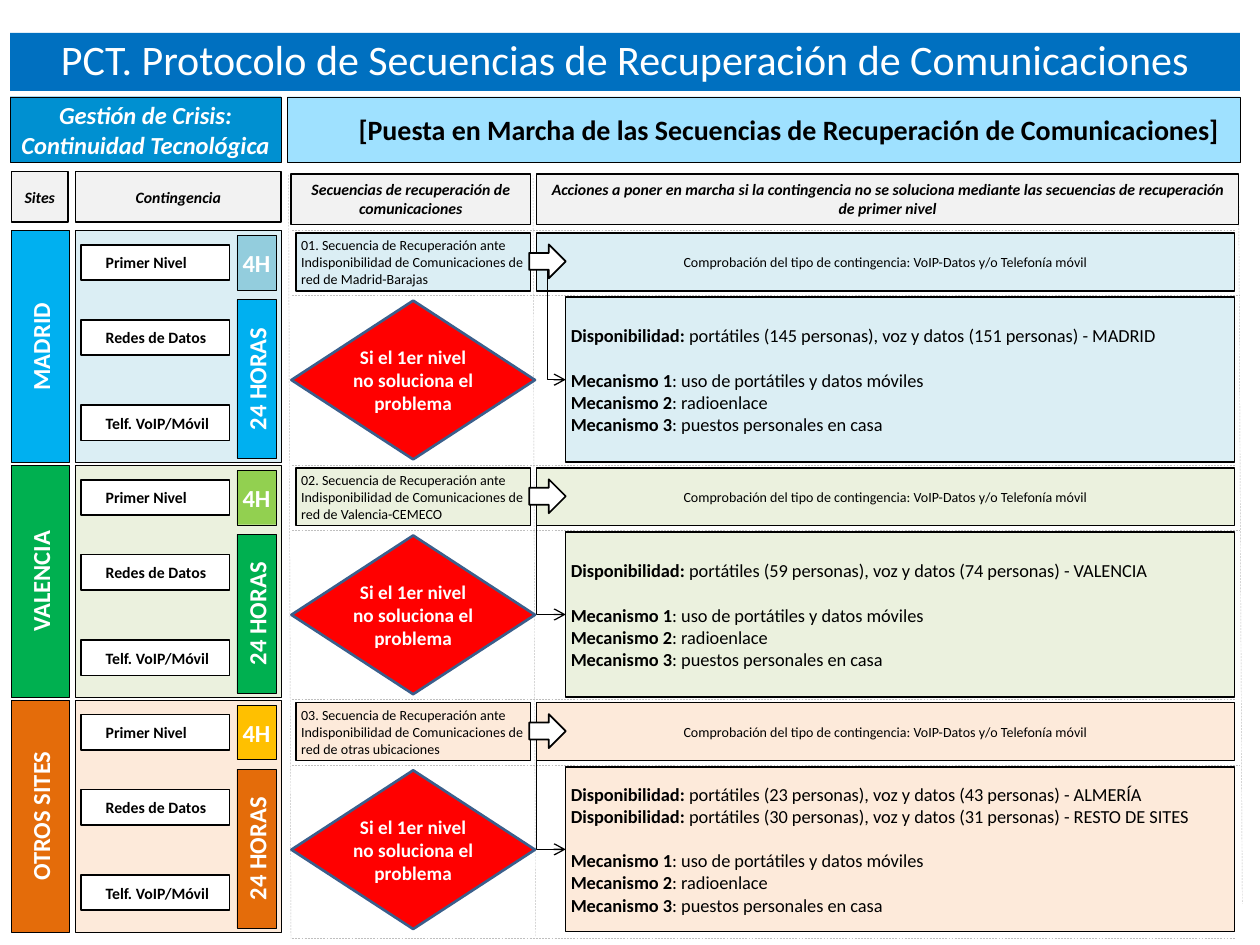
"""Build the communications recovery protocol slide with one band per site."""
from dataclasses import dataclass

from lxml.etree import SubElement
from pptx import Presentation
from pptx.dml.color import RGBColor as RGB
from pptx.enum.dml import MSO_LINE as Dash
from pptx.enum.shapes import MSO_CONNECTOR as Link, MSO_SHAPE as Kind
from pptx.enum.text import MSO_ANCHOR as Anchor, PP_ALIGN as Align
from pptx.oxml.ns import qn
from pptx.util import Pt


@dataclass(frozen=True)
class Theme:
    font: str = "Calibri"
    black: str = "000000"
    white: str = "FFFFFF"
    title: str = "0070C0"
    crisis: str = "0090D1"
    banner: str = "9FE1FF"
    head: str = "F2F2F2"
    grid: str = "BFBFBF"
    red: str = "FF0000"
    edge: str = "3A5F8C"
    huge: float = 24
    large: float = 16
    mid: float = 14
    ask: float = 11
    body: float = 10.5
    label: float = 9
    small: float = 8


theme = Theme()
deck = Presentation()
deck.slide_width, deck.slide_height = Pt(720), Pt(540)
slide = deck.slides.add_slide(deck.slide_layouts[6])
shapes = slide.shapes


def box(x, y, w, h, fill, text="", size=theme.label, color=theme.black, bold=True,
        italic=False, align=Align.CENTER, inset=(7.2, 3.6), indent=0, turn=False,
        edge=theme.black, width=0.25, kind=Kind.RECTANGLE):
    shape = shapes.add_shape(kind, Pt(x), Pt(y), Pt(w), Pt(h))
    shape.shadow.inherit = False
    shape.fill.solid()
    shape.fill.fore_color.rgb = RGB.from_string(fill)
    if edge:
        shape.line.color.rgb = RGB.from_string(edge)
        shape.line.width = Pt(width)
    else:
        shape.line.fill.background()
    frame = shape.text_frame
    frame.word_wrap = True
    frame.vertical_anchor = Anchor.MIDDLE
    frame.margin_left = frame.margin_right = Pt(inset[0])
    frame.margin_top = frame.margin_bottom = Pt(inset[1])
    if turn:
        frame._txBody.bodyPr.set("vert", "vert270")
    frame.text = text
    for para in frame.paragraphs:
        para.alignment = align
        if indent:
            para._p.get_or_add_pPr().set("marL", str(Pt(indent)))
        for run in para.runs:
            font = run.font
            font.name, font.size = theme.font, Pt(size)
            font.bold, font.italic = bold, italic
            font.color.rgb = RGB.from_string(color)
    return shape


def rule(x1, y1, x2, y2, color=theme.grid, width=0.25, dash=Dash.DASH, kind=Link.STRAIGHT):
    line = shapes.add_connector(kind, Pt(x1), Pt(y1), Pt(x2), Pt(y2))
    line.line.color.rgb = RGB.from_string(color)
    line.line.width = Pt(width)
    line.line.dash_style = dash
    SubElement(line._element.spPr, qn("a:effectLst"))
    return line


title = box(5.8, 18.8, 702.7, 33.2, theme.title,
            "PCT. Protocolo de Secuencias de Recuperación de Comunicaciones",
            theme.huge, theme.white, bold=False, edge=None)
title.text_frame.vertical_anchor = Anchor.TOP
title.text_frame.paragraphs[0].line_spacing = 0.9
banner = box(164.3, 55.3, 544.3, 37.6, theme.banner,
             "[Puesta en Marcha de las Secuencias de Recuperación de Comunicaciones]",
             theme.large, indent=28.8, kind=Kind.ROUNDED_RECTANGLE)
banner.adjustments[0] = 0
box(5.8, 55.3, 154.8, 37.6, theme.crisis, "Gestión de Crisis: Continuidad Tecnológica",
    theme.mid, theme.white, italic=True, inset=(0, 3.6))

for x1, x2, y2 in ((707.8, 709.9, 516.2), (304.6, 306, 535.7), (164.9, 166.3, 536.4)):
    rule(x1, 100, x2, y2)
rule(167, 536.4, 705.6, 536.4)

heads = (
    (6.5, 98.2, 32.4, "Sites", 5.76),
    (43.2, 98.2, 117.4, "Contingencia", 7.2),
    (166.3, 99.4, 136.8, "Secuencias de recuperación de comunicaciones", 7.2),
    (306.7, 99.4, 401, "Acciones a poner en marcha si la contingencia no se soluciona "
     "mediante las secuencias de recuperación de primer nivel", 7.2),
)
for x, y, w, text, pad in heads:
    box(x, y, w, 28.8, theme.head, text, italic=True, inset=(pad, 3.6), width=0.75)

sites = (
    ("MADRID", "00B0F0", "DBEEF4", "93CDDD", "red de Madrid-Barajas", 36500,
     ((145, 151, "MADRID"),)),
    ("VALENCIA", "00B050", "EBF1DE", "92D050", "red de Valencia-CEMECO", 0,
     ((59, 74, "VALENCIA"),)),
    ("OTROS SITES", "E46C0A", "FDEADA", "FFC000", "red de otras ubicaciones", 0,
     ((23, 43, "ALMERÍA"), (30, 31, "RESTO DE SITES"))),
)
levels = (("Primer Nivel", 8.1), ("Redes de Datos", 50.9), ("Telf. VoIP/Móvil", 99.8))
plans = ("uso de portátiles y datos móviles", "radioenlace", "puestos personales en casa")
tight = (2.88, 2.88)

for num, (site, dark, pale, tint, net, bend, staff) in enumerate(sites):
    top = 131.8 + 134.2 * num
    box(6.5, top, 33.1, 132.5, dark, site, theme.mid, theme.white, turn=True)
    box(43.2, top, 117.4, 132.5, pale)
    for text, drop in levels:
        box(46.1, top + drop, 85, 20.2, theme.white, text, align=Align.LEFT,
            indent=7.2, width=1)
    box(135.4, top + 2.9, 22.3, 31, tint, "4H", theme.mid, theme.white, inset=(0, 0))
    box(135.4, top + 39.4, 22.3, 90.7, dark, "24 HORAS", theme.mid, theme.white, turn=True)
    rule(167, top - 0.4, 705.6, top - 0.4)
    rule(167, top + 36.9, 708.5, top + 36.9)
    box(169.2, top + 1.4, 133.9, 33.1, pale,
        f"0{num + 1}. Secuencia de Recuperación ante Indisponibilidad de "
        f"Comunicaciones de {net}",
        theme.small, bold=False, align=Align.LEFT, inset=tight, width=0.75)
    check = box(306.7, top + 1.4, 398.9, 33.1, pale,
                "Comprobación del tipo de contingencia: VoIP-Datos y/o Telefonía móvil",
                theme.small, bold=False, inset=tight, width=0.75)
    plan = box(323.3, top + 38, 382.3, 94.3, pale, inset=tight, width=0.75)

    rows = [("Disponibilidad:", f" portátiles ({kits} personas), voz y datos ({lines} personas)"
             f" - {place}") for kits, lines, place in staff]
    rows += [(f"Mecanismo {i}", f": {text}") for i, text in enumerate(plans, 1)]
    frame = plan.text_frame
    for i, row in enumerate(rows):
        para = frame.add_paragraph() if i else frame.paragraphs[0]
        para.alignment = Align.LEFT
        if i == len(staff):
            para.space_before = Pt(12.8)
        for text, bold in zip(row, (True, False)):
            run = para.add_run()
            run.text = text
            run.font.name, run.font.size = theme.font, Pt(theme.body)
            run.font.bold = bold
            run.font.color.rgb = RGB.from_string(theme.black)

    link = rule(306.7, top + 18, 323.3, top + 85.2, theme.black, 0.75, Dash.SOLID, Link.ELBOW)
    link.begin_connect(check, 1)
    link.end_connect(plan, 1)
    SubElement(link.line._get_or_add_ln(), qn("a:tailEnd"), type="arrow")
    geom = link._element.spPr.find(qn("a:prstGeom"))
    SubElement(geom.find(qn("a:avLst")), qn("a:gd"), name="adj1", fmla=f"val {bend}")
    box(302.4, top + 7.9, 20.9, 19.4, theme.white, width=1, kind=Kind.RIGHT_ARROW)
    box(166.5, top + 40, 139.2, 90.7, theme.red, "Si el 1er nivel no soluciona el problema",
        theme.ask, theme.white, inset=(0, 0), edge=theme.edge, width=1.5,
        kind=Kind.FLOWCHART_DECISION)

deck.save("out.pptx")
